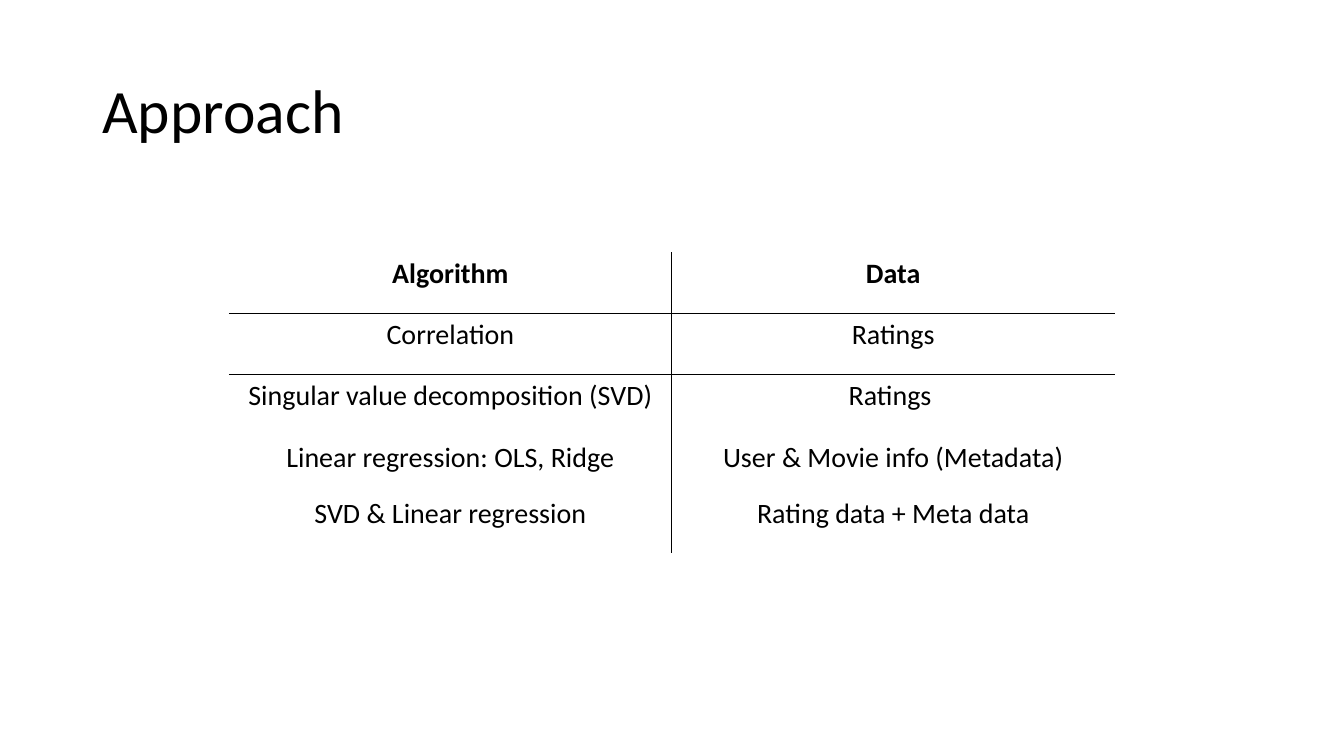
from dataclasses import dataclass

from lxml import etree
from pptx import Presentation
from pptx.dml.color import RGBColor
from pptx.enum.text import MSO_ANCHOR, PP_ALIGN
from pptx.oxml.ns import qn
from pptx.util import Cm, Pt

CENTER = PP_ALIGN.CENTER
MIDDLE = MSO_ANCHOR.MIDDLE
PLAIN = "{2D5ABB26-0587-4C30-8999-92F81FD0307C}"

TITLE = "Approach"
ROWS = [
    ("Algorithm", "Data"),
    ("Correlation", "Ratings"),
    ("Singular value decomposition (SVD)", "Ratings "),
    ("Linear regression: OLS, Ridge", "User & Movie info (Metadata)"),
    ("SVD & Linear regression", "Rating data + Meta data"),
]
HEIGHTS = [1.54, 1.54, 1.54, 1.43, 1.54]
WIDTH = 11.16


@dataclass
class Theme:
    font: str = "Calibri"
    ink: str = "000000"
    title: int = 44
    body: int = 20
    rule: int = 1


theme = Theme()


def style(par, size, bold=False):
    font = par.font
    font.name = theme.font
    font.size = Pt(size)
    font.bold = bold
    font.color.rgb = RGBColor.from_string(theme.ink)


def border(cell, sides):
    props = cell._tc.get_or_add_tcPr()
    for side in sides:
        line = etree.SubElement(props, qn(f"a:ln{side}"), w=str(Pt(theme.rule)))
        fill = etree.SubElement(line, qn("a:solidFill"))
        etree.SubElement(fill, qn("a:srgbClr"), val=theme.ink)


def add_grid(slide):
    frame = slide.shapes.add_table(
        len(ROWS), 2, Cm(5.77), Cm(6.35), Cm(2 * WIDTH), Cm(sum(HEIGHTS)))
    table = frame.table
    table.first_row = table.horz_banding = False
    table._tbl.tblPr.find(qn("a:tableStyleId")).text = PLAIN
    for col in table.columns:
        col.width = Cm(WIDTH)
    for r, (texts, height) in enumerate(zip(ROWS, HEIGHTS)):
        table.rows[r].height = Cm(height)
        for c, text in enumerate(texts):
            cell = table.cell(r, c)
            cell.text = text
            par = cell.text_frame.paragraphs[0]
            par.alignment = CENTER
            style(par, theme.body, bold=r == 0)
            border(cell, "RL"[c] + {0: "B", 1: "T"}.get(r, ""))
            cell.fill.background()


def add_title(slide):
    box = slide.shapes.add_textbox(Cm(2.33), Cm(1.01), Cm(29.21), Cm(3.68))
    frame = box.text_frame
    frame.word_wrap = True
    frame.vertical_anchor = MIDDLE
    frame.text = TITLE
    par = frame.paragraphs[0]
    par.line_spacing = 0.9
    style(par, theme.title)


def main():
    deck = Presentation()
    deck.slide_width, deck.slide_height = Cm(33.87), Cm(19.05)
    slide = deck.slides.add_slide(deck.slide_layouts[6])
    add_grid(slide)
    add_title(slide)
    deck.save("out.pptx")


if __name__ == "__main__":
    main()
